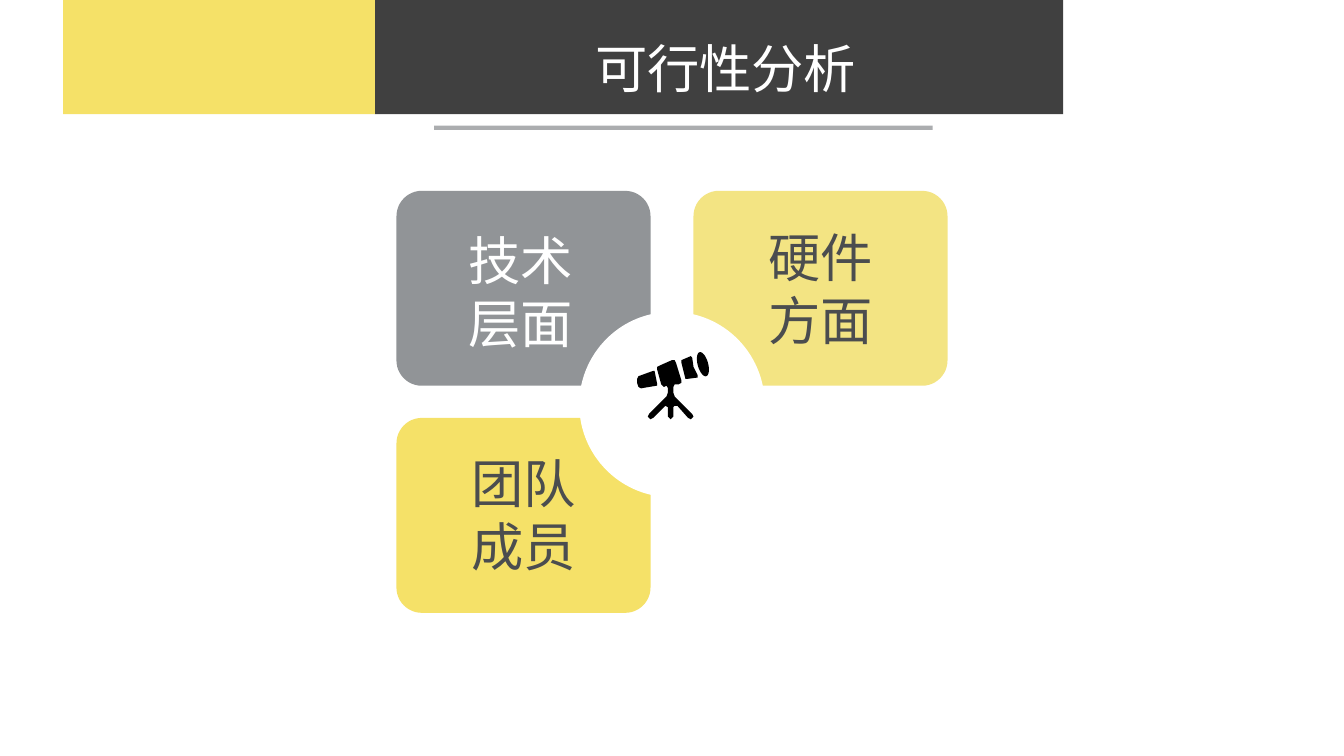
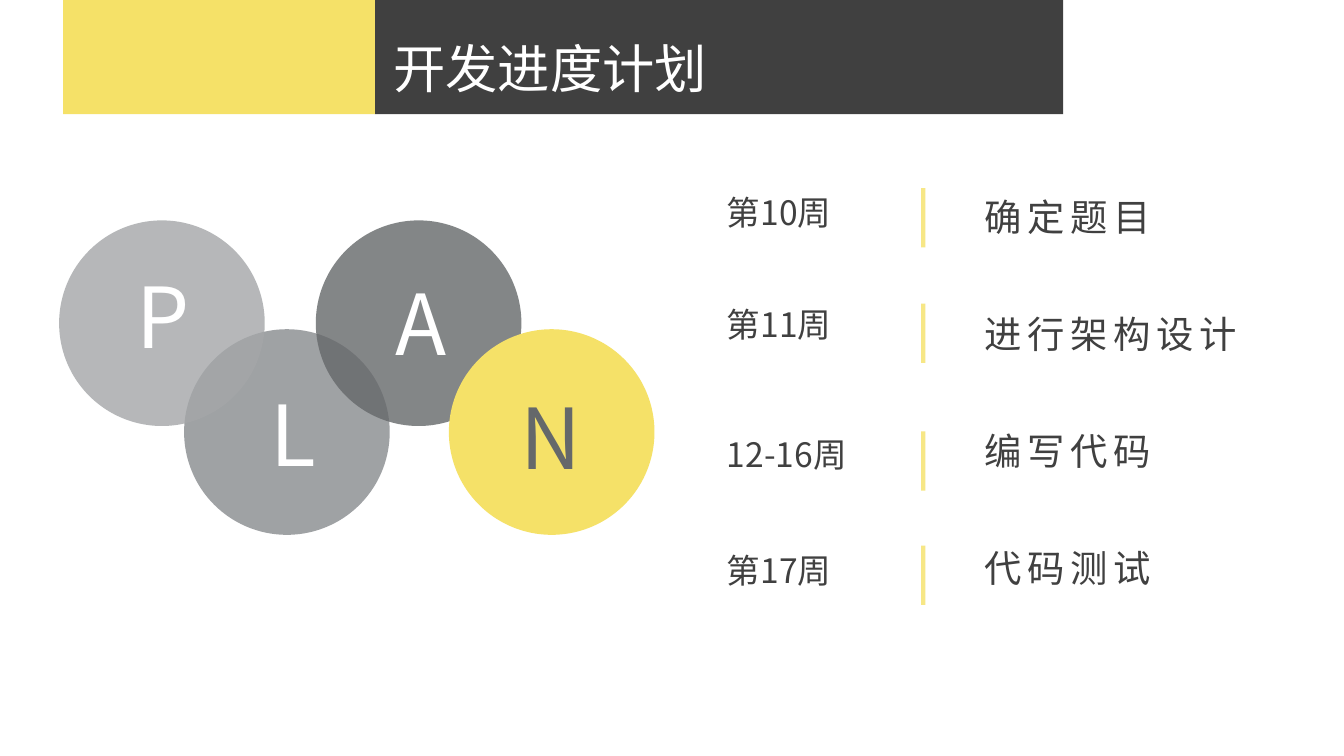
from math import cos, pi, sin

from lxml import etree
from pptx import Presentation
from pptx.dml.color import RGBColor
from pptx.enum.shapes import MSO_CONNECTOR, MSO_SHAPE
from pptx.enum.text import MSO_AUTO_SIZE, PP_ALIGN
from pptx.oxml.ns import qn
from pptx.util import Inches, Pt

RECTANGLE = MSO_SHAPE.RECTANGLE
ROUNDED = MSO_SHAPE.ROUNDED_RECTANGLE
OVAL = MSO_SHAPE.OVAL
STRAIGHT = MSO_CONNECTOR.STRAIGHT
FIT_SHAPE = MSO_AUTO_SIZE.SHAPE_TO_FIT_TEXT
LEFT, CENTER = PP_ALIGN.LEFT, PP_ALIGN.CENTER

FONT = "Noto Sans CJK SC"
WHITE, BLACK, DARK = "FFFFFF", "000000", "404040"
YELLOW, PALE_YELLOW = "F5E168", "F3E483"
GRAY, CARD_GRAY, LIGHT_GRAY, DEEP_GRAY = "888B8E", "767A7D", "A4A6A8", "65686A"
CARD_TEXT = "4B4D4F"


def lens_points(center_x, center_y, half_width, half_height, slant, count=32):
    angles = [2 * pi * step / count for step in range(count)]
    return [(center_x + half_width * cos(angle) + slant * sin(angle),
             center_y + half_height * sin(angle)) for angle in angles]


TELESCOPE = [
    [(5.14, 2.65), (5.07, 2.68), (5.07, 2.7), (5.1, 2.82), (5.11, 2.82),
     (5.19, 2.81), (5.19, 2.79), (5.16, 2.73), (5.15, 2.66)],
    lens_points(5.23, 2.71, 0.04, 0.09, 0.02),
    [(4.77, 2.89), (4.89, 2.87), (4.89, 2.86), (4.87, 2.76), (4.86, 2.76),
     (4.75, 2.8), (4.74, 2.82), (4.74, 2.85), (4.75, 2.88)],
    [(5.12, 3.11), (5.14, 3.12), (5.15, 3.11), (5.16, 3.1), (5.15, 3.08),
     (5.02, 2.95), (5.01, 2.92), (5.01, 2.88), (5.02, 2.86), (5.05, 2.86),
     (5.07, 2.85), (5.07, 2.83), (5.03, 2.7), (5.02, 2.68), (5, 2.68),
     (4.91, 2.72), (4.89, 2.73), (4.89, 2.75), (4.92, 2.86), (4.94, 2.88),
     (4.96, 2.87), (4.97, 2.89), (4.97, 2.92), (4.96, 2.95), (4.83, 3.08),
     (4.82, 3.1), (4.83, 3.11), (4.84, 3.12), (4.86, 3.11), (4.95, 3.02),
     (4.97, 3.03), (4.97, 3.1), (4.99, 3.12), (5.01, 3.1), (5.01, 3.03),
     (5.02, 3.02), (5.04, 3.02)],
]


def paint(fill, color, opacity=100):
    fill.solid()
    fill.fore_color.rgb = RGBColor.from_string(color)
    if opacity < 100:
        solid = fill.fore_color._xFill
        alpha = etree.SubElement(solid.find(qn("a:srgbClr")), qn("a:alpha"))
        alpha.set("val", str(opacity * 1000))


class Deck:
    """Hold the shared style and draw elements on the current slide."""

    def __init__(self):
        self.presentation = Presentation()
        self.presentation.slide_width = Inches(10)
        self.presentation.slide_height = Inches(10) * 9 // 16
        self.slide = None

    def add_slide(self, title, width, height, indent=0):
        layout = self.presentation.slide_layouts[6]
        self.slide = self.presentation.slides.add_slide(layout)
        self.shape(RECTANGLE, 2.79, 0, 5.12, 0.85, DARK)
        self.shape(RECTANGLE, 0.47, 0, 2.32, 0.85, YELLOW)
        self.text(title, 2.83, 0.08, width, height, 28, WHITE,
                  line_spacing=1.3, indent=indent)

    def finish(self, shape, color, opacity=100):
        shape.shadow.inherit = False
        paint(shape.fill, color, opacity)
        shape.line.fill.background()

    def shape(self, kind, left, top, width, height, color, opacity=100):
        shape = self.slide.shapes.add_shape(
            kind, Inches(left), Inches(top), Inches(width), Inches(height))
        self.finish(shape, color, opacity)
        return shape

    def outline(self, points, color):
        corners = [(Inches(x), Inches(y)) for x, y in points]
        builder = self.slide.shapes.build_freeform(*corners[0])
        builder.add_line_segments(corners[1:])
        self.finish(builder.convert_to_shape(), color)

    def line(self, start_x, start_y, end_x, end_y, color, opacity):
        connector = self.slide.shapes.add_connector(
            STRAIGHT, Inches(start_x), Inches(start_y),
            Inches(end_x), Inches(end_y))
        connector.line.width = Pt(2.25)
        paint(connector.line.fill, color, opacity)
        etree.SubElement(connector._element.spPr, qn("a:effectLst"))

    def text(self, words, left, top, width, height, size, color,
             alignment=LEFT, line_spacing=None, letter_spacing=0, indent=0):
        box = self.slide.shapes.add_textbox(
            Inches(left), Inches(top), Inches(width), Inches(height))
        text_frame = box.text_frame
        text_frame.word_wrap = True
        text_frame.auto_size = FIT_SHAPE
        text_frame.text = words
        paragraph = text_frame.paragraphs[0]
        paragraph.alignment = alignment
        if line_spacing:
            paragraph.line_spacing = line_spacing
        if indent:
            paragraph._p.get_or_add_pPr().set("marL", str(Inches(indent)))
        font = paragraph.runs[0].font
        font.size = Pt(size)
        font.name = FONT
        font.color.rgb = RGBColor.from_string(color)
        properties = font._element
        etree.SubElement(properties, qn("a:ea")).set("typeface", FONT)
        if letter_spacing:
            properties.set("spc", str(letter_spacing * 100))


def build_feasibility(deck):
    deck.add_slide("可行性分析", 3.68, 0.71, indent=1.5)
    deck.line(3.23, 0.95, 6.94, 0.95, GRAY, 70)
    cards = [
        ("技术层面", 2.95, 1.42, CARD_GRAY, 80, WHITE, 3.27, 1.65),
        ("硬件方面", 5.16, 1.42, PALE_YELLOW, 100, CARD_TEXT, 5.5, 1.63),
        ("团队成员", 2.95, 3.11, YELLOW, 100, CARD_TEXT, 3.29, 3.31),
    ]
    for _, left, top, color, opacity, *_ in cards:
        card = deck.shape(ROUNDED, left, top, 1.89, 1.45, color, opacity)
        card.adjustments[0] = 0.13
    deck.shape(OVAL, 4.31, 2.32, 1.38, 1.38, WHITE)
    for points in TELESCOPE:
        deck.outline(points, BLACK)
    for words, *_, color, left, top in cards:
        deck.text(words, left, top, 1.21, 1.04, 28, color, CENTER)


def build_schedule(deck):
    deck.add_slide("开发进度计划", 2.56, 0.65)
    circles = [
        ("L", 1.37, 2.45, GRAY, 80, WHITE, 1.57, 2.8),
        ("P", 0.44, 1.64, LIGHT_GRAY, 80, WHITE, 0.6, 1.92),
        ("A", 2.35, 1.64, DEEP_GRAY, 80, WHITE, 2.52, 1.97),
        ("N", 3.34, 2.45, YELLOW, 100, DEEP_GRAY, 3.49, 2.82),
    ]
    for _, left, top, color, opacity, *_ in circles:
        deck.shape(OVAL, left, top, 1.53, 1.53, color, opacity)
    for letter, *_, color, left, top in circles:
        deck.text(letter, left, top, 1.22, 0.89, 45, color, CENTER)
    steps = [
        ("第10周", 1.38, 1.3, 1.4, "确定题目"),
        ("第11周", 2.21, 1.3, 2.26, "进行架构设计"),
        ("12-16周", 3.18, 1.3, 3.21, "编写代码"),
        ("第17周", 4.04, 1.48, 4.06, "代码测试"),
    ]
    for index, (week, top, width, divider_top, task) in enumerate(steps):
        deck.text(week, 5.31, top, width, 0.42, 18, DARK)
        deck.line(6.87, divider_top, 6.87, divider_top + 0.44, YELLOW, 80)
        deck.text(task, 7.23, 1.23 + 0.87 * index, 2.39, 0.55, 20, DARK,
                  line_spacing=1.5, letter_spacing=3)


def main():
    deck = Deck()
    build_feasibility(deck)
    build_schedule(deck)
    deck.presentation.save("out.pptx")


if __name__ == "__main__":
    main()
